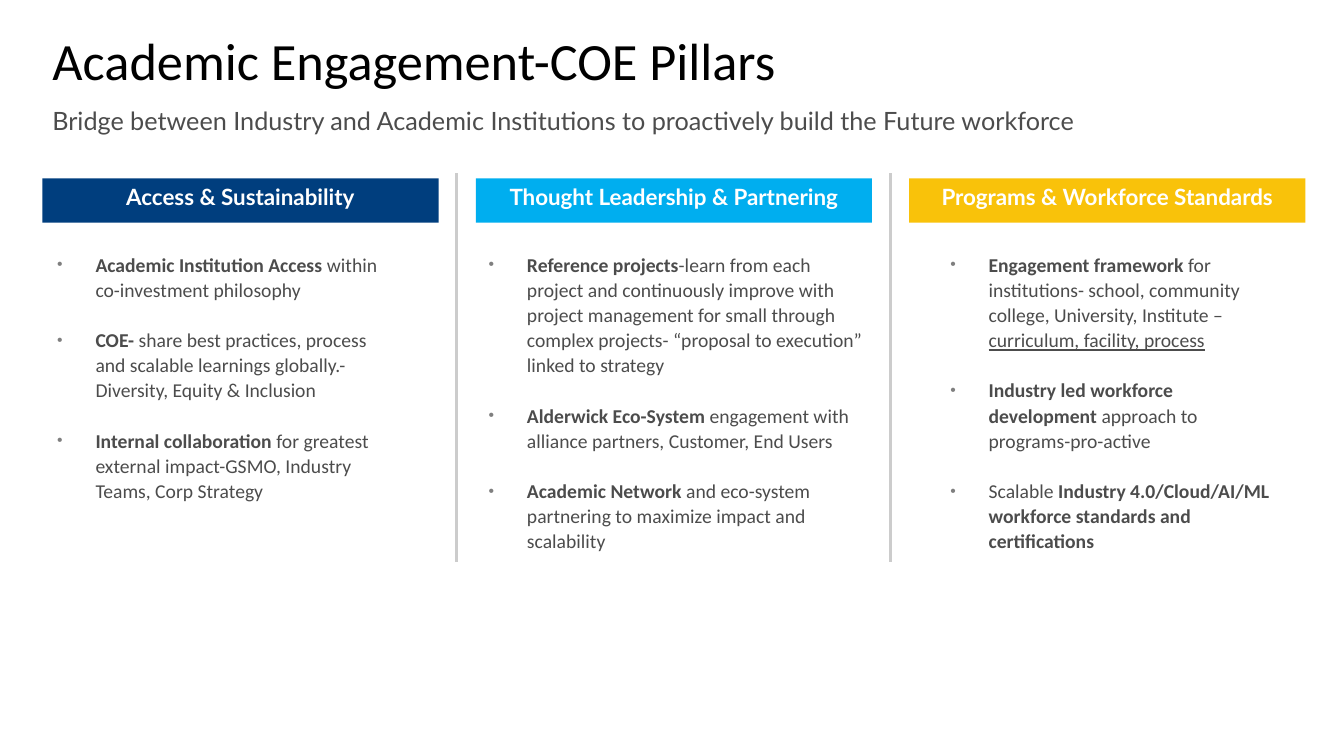
from dataclasses import dataclass

from lxml.etree import SubElement
from pptx import Presentation
from pptx.dml.color import RGBColor
from pptx.enum.shapes import MSO_CONNECTOR, MSO_SHAPE
from pptx.enum.text import MSO_ANCHOR, PP_ALIGN
from pptx.oxml.ns import qn
from pptx.slide import Slide
from pptx.text.text import _Paragraph
from pptx.util import Inches, Length, Pt


@dataclass(frozen=True)
class Theme:
    heading_font: str = "Lato"
    body_font: str = "Calibri"
    black: str = "000000"
    white: str = "FFFFFF"
    text: str = "4C4C4C"
    bullet: str = "7F7F7F"
    rule: str = "CCCCCC"
    navy: str = "003E7E"
    sky: str = "00AEEF"
    amber: str = "F9C20A"
    title_size: float = 37.4
    subtitle_size: float = 18
    band_size: float = 16
    body_size: float = 14


@dataclass(frozen=True)
class Grid:
    width: Length = Inches(13.33)
    height: Length = Inches(7.5)
    margin: float = 3.15
    pitch: float = 32.25
    band_width: float = 29.48
    gutter: float = 30.83

    def across(self, percent: float) -> Length:
        return Length(round(self.width * percent / 100))

    def down(self, percent: float) -> Length:
        return Length(round(self.height * percent / 100))

    def column(self, index: int) -> float:
        return self.margin + index * self.pitch

    def frame(self, left: float, top: float, width: float, height: float) -> tuple[Length, ...]:
        return self.across(left), self.down(top), self.across(width), self.down(height)


@dataclass(frozen=True)
class Span:
    text: str
    bold: bool = False
    underline: bool = False


@dataclass(frozen=True)
class Pillar:
    heading: str
    color: str
    body_shift: float
    body_width: float
    body_height: float
    points: tuple[tuple[Span, ...], ...]


THEME = Theme()
GRID = Grid()
PILLARS = (
    Pillar("Access & Sustainability", THEME.navy, -2.93, 30.16, 38.13, (
        (Span("Academic Institution Access ", bold=True),
         Span("within co-investment philosophy")),
        (Span("COE- ", bold=True),
         Span("share best practices, process and scalable learnings globally.-"
              "Diversity, Equity & Inclusion")),
        (Span("Internal collaboration ", bold=True),
         Span("for greatest external impact-GSMO, Industry Teams, Corp Strategy")),
    )),
    Pillar("Thought Leadership & Partnering", THEME.sky, -3.08, 33.16, 44.8, (
        (Span("Reference projects", bold=True),
         Span("-learn from each project and continuously improve with project management "
              "for small through complex projects- “proposal to execution” linked to strategy")),
        (Span("Alderwick Eco-System ", bold=True),
         Span("engagement with alliance partners, Customer, End Users")),
        (Span("Academic Network ", bold=True),
         Span("and eco-system partnering to maximize impact and scalability")),
    )),
    Pillar("Programs & Workforce Standards", THEME.amber, -0.98, 29.48, 41.47, (
        (Span("Engagement framework ", bold=True),
         Span("for institutions- school, community college, University, Institute –"),
         Span("curriculum, facility, process", underline=True)),
        (Span("Industry led workforce development ", bold=True),
         Span("approach to programs-pro-active")),
        (Span("Scalable "),
         Span("Industry 4.0/Cloud/AI/ML workforce standards and certifications", bold=True)),
    )),
)


def set_font(para: _Paragraph, name: str, size: float, color: str) -> None:
    para.font.name = name
    para.font.size = Pt(size)
    para.font.color.rgb = RGBColor.from_string(color)


def add_bullet(para: _Paragraph) -> None:
    properties = para._p.get_or_add_pPr()
    properties.set("marL", str(Inches(0.82)))
    properties.set("indent", str(-Inches(0.38)))
    bullet_color = SubElement(properties, qn("a:buClr"))
    SubElement(bullet_color, qn("a:srgbClr"), val=THEME.bullet)
    SubElement(properties, qn("a:buSzPct"), val="80000")
    SubElement(properties, qn("a:buFont"), typeface="Arial")
    SubElement(properties, qn("a:buChar"), char="•")


def draw_title(page: Slide, text: str) -> None:
    title = page.shapes.title
    title.left, title.top, title.width, title.height = GRID.frame(GRID.margin, 5.2, 93.77, 7.47)
    title.text_frame.vertical_anchor = MSO_ANCHOR.MIDDLE
    para = title.text_frame.paragraphs[0]
    para.text = text
    para.alignment = PP_ALIGN.LEFT
    para.line_spacing = 0.7
    set_font(para, THEME.body_font, THEME.title_size, THEME.black)


def draw_subtitle(page: Slide, text: str) -> None:
    box = page.shapes.add_textbox(*GRID.frame(GRID.margin, 13.6, 93.77, 5.07))
    box.text_frame.word_wrap = True
    para = box.text_frame.paragraphs[0]
    para.text = text
    para.line_spacing = Pt(20)
    set_font(para, THEME.heading_font, THEME.subtitle_size, THEME.text)


def draw_band(page: Slide, pillar: Pillar, left: float) -> None:
    band = page.shapes.add_shape(
        MSO_SHAPE.RECTANGLE, *GRID.frame(left, 23.6, GRID.band_width, 5.87))
    band.shadow.inherit = False
    band.fill.solid()
    band.fill.fore_color.rgb = RGBColor.from_string(pillar.color)
    band.line.fill.background()
    band.text_frame.vertical_anchor = MSO_ANCHOR.TOP
    para = band.text_frame.paragraphs[0]
    para.text = pillar.heading
    para.alignment = PP_ALIGN.CENTER
    set_font(para, THEME.heading_font, THEME.band_size, THEME.white)
    para.font.bold = True


def draw_points(page: Slide, pillar: Pillar, left: float) -> None:
    box = page.shapes.add_textbox(
        *GRID.frame(left + pillar.body_shift, 32.53, pillar.body_width, pillar.body_height))
    frame = box.text_frame
    frame.word_wrap = True
    for index, point in enumerate(pillar.points):
        para = frame.add_paragraph() if index else frame.paragraphs[0]
        para.level = 1
        para.line_spacing = 1.07
        para.space_before = Pt(18 if index else 0)
        add_bullet(para)
        set_font(para, THEME.body_font, THEME.body_size, THEME.text)
        for span in point:
            run = para.add_run()
            run.text = span.text
            run.font.bold = span.bold
            run.font.underline = span.underline


def draw_divider(page: Slide, left: float) -> None:
    x = GRID.across(left)
    divider = page.shapes.add_connector(
        MSO_CONNECTOR.STRAIGHT, x, GRID.down(22.93), x, GRID.down(74.4))
    divider.line.color.rgb = RGBColor.from_string(THEME.rule)
    divider.line.width = Pt(2)
    SubElement(divider._element.spPr, qn("a:effectLst"))


def main() -> None:
    deck = Presentation()
    deck.slide_width, deck.slide_height = GRID.width, GRID.height
    page = deck.slides.add_slide(deck.slide_layouts[5])
    draw_title(page, "Academic Engagement-COE Pillars")
    draw_subtitle(page, "Bridge between Industry and Academic Institutions "
                        "to proactively build the Future workforce")
    for index, pillar in enumerate(PILLARS):
        left = GRID.column(index)
        draw_band(page, pillar, left)
        draw_points(page, pillar, left)
        if index < len(PILLARS) - 1:
            draw_divider(page, left + GRID.gutter)
    deck.save("out.pptx")


if __name__ == "__main__":
    main()
